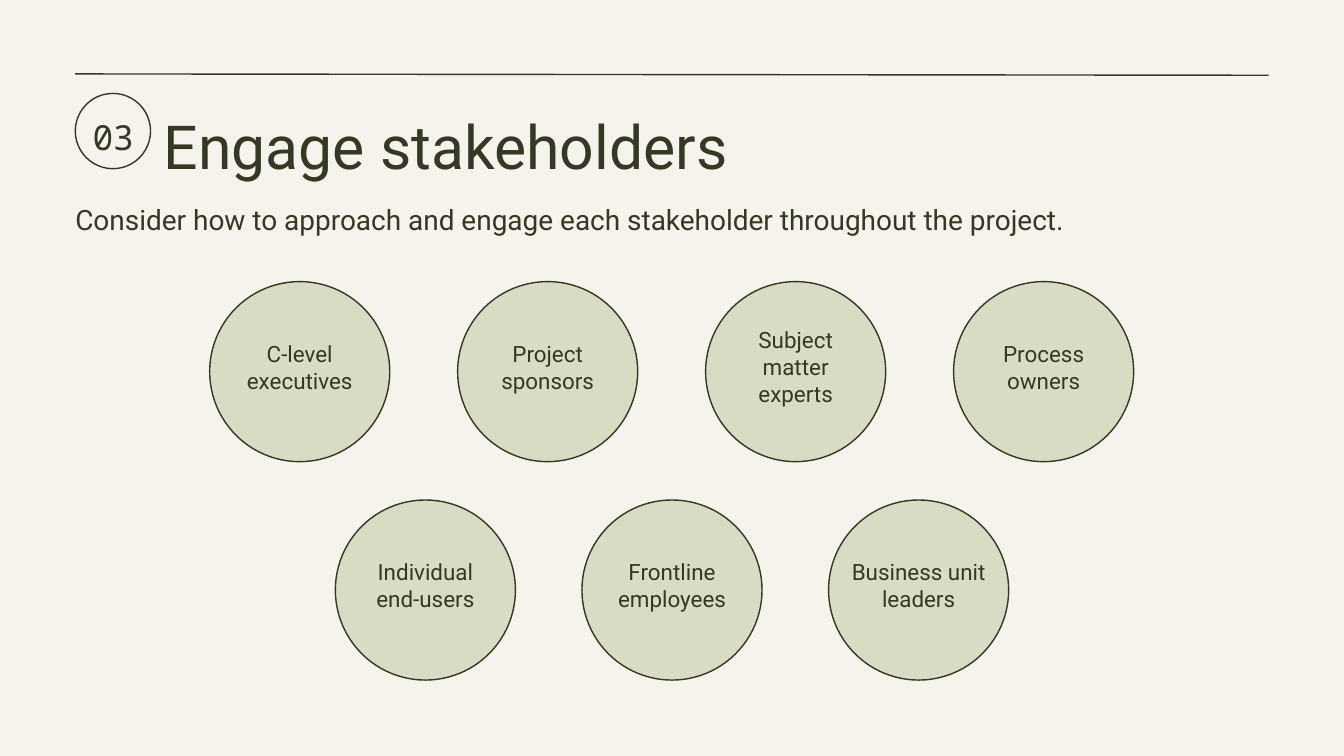
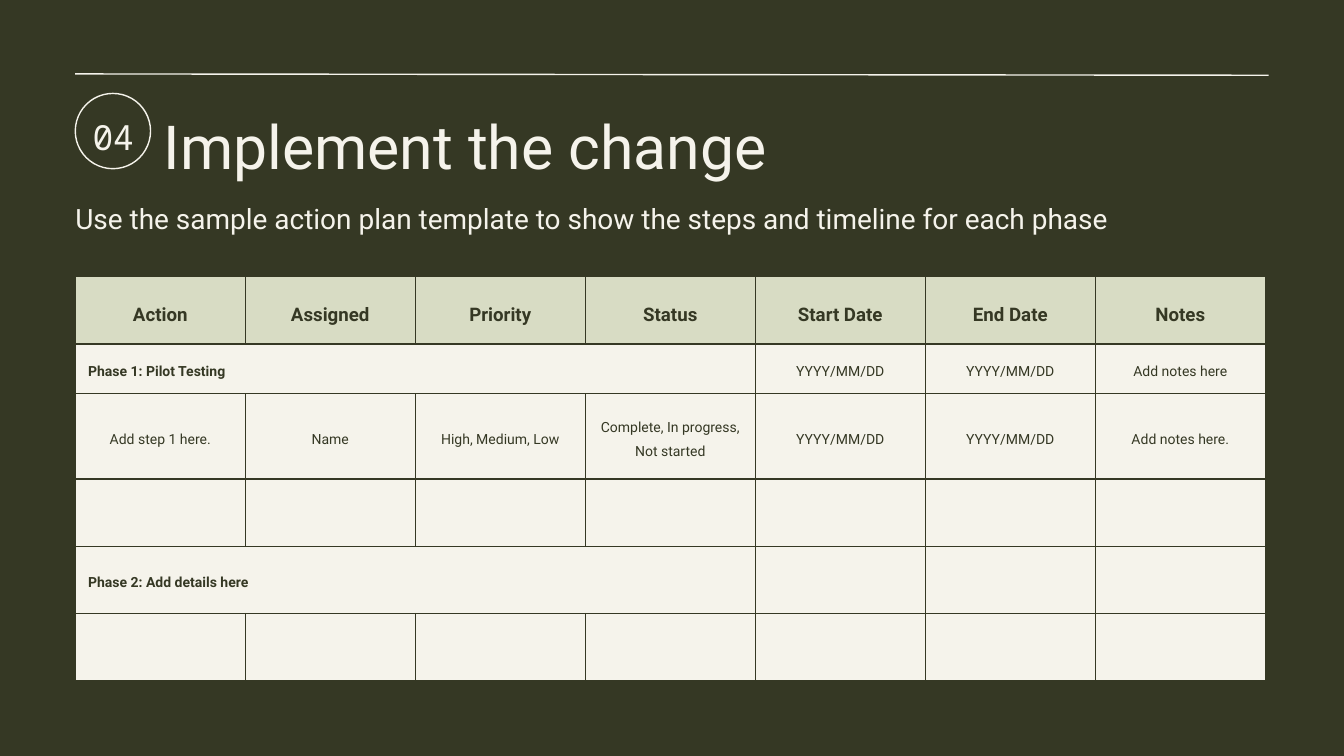
"""Build two change management slides: stakeholders and action plan."""
import pptx
import pptx.util
import pptx.dml.color
import pptx.enum.shapes
import pptx.enum.text
import pptx.oxml.ns
import lxml.etree

PX = 9144
HUES = {"dark": "353824", "light": "F5F3EB", "sage": "D8DCC4"}
RGB = pptx.dml.color.RGBColor.from_string
ALIGN = pptx.enum.text.PP_ALIGN
MID = pptx.enum.text.MSO_ANCHOR.MIDDLE
OVAL = pptx.enum.shapes.MSO_SHAPE.OVAL
STRAIGHT = pptx.enum.shapes.MSO_CONNECTOR.STRAIGHT
qn = pptx.oxml.ns.qn


def write(frame, words, size, hue, gap=1.0, font="Roboto", bold=False,
          center=False, pad=0):
    """Put one styled run in a text frame."""
    frame.word_wrap = True
    frame.margin_left = frame.margin_right = pad * PX
    frame.margin_top = frame.margin_bottom = pad * PX
    para = frame.paragraphs[0]
    para.line_spacing = gap
    para.alignment = ALIGN.CENTER if center else ALIGN.LEFT
    run = para.add_run()
    run.text = words
    run.font.size = pptx.util.Pt(size)
    run.font.name = font
    run.font.bold = bold
    run.font.color.rgb = RGB(HUES[hue])


def disc(slide, box, hue, fill=None):
    """Add a group holding one outlined circle."""
    group = slide.shapes.add_group_shape()
    ring = group.shapes.add_shape(OVAL, *[n * PX for n in box])
    ring.shadow.inherit = False
    ring.line.color.rgb = RGB(HUES[hue])
    ring.line.width = pptx.util.Pt(1.5)
    if fill:
        ring.fill.solid()
        ring.fill.fore_color.rgb = RGB(HUES[fill])
    else:
        ring.fill.background()
    return group


deck = pptx.Presentation()
deck.slide_width = 2000 * PX
deck.slide_height = 1125 * PX

heads = [
    ("03", "Engage stakeholders", 282, "light", "dark",
     "Consider how to approach and engage each stakeholder throughout the project."),
    ("04", "Implement the change", 280, "dark", "light",
     "Use the sample action plan template to show the steps and timeline for each phase"),
]
slides = []
for mark, title, top, back, ink, lead in heads:
    slide = deck.slides.add_slide(deck.slide_layouts[6])
    slides.append(slide)
    slide.background.fill.solid()
    slide.background.fill.fore_color.rgb = RGB(HUES[back])
    rule = slide.shapes.add_connector(STRAIGHT, 112 * PX, 110 * PX, 1888 * PX, 112 * PX)
    rule.line.color.rgb = RGB(HUES[ink])
    rule.line.width = pptx.util.Pt(1.5)
    lxml.etree.SubElement(rule._element.spPr, qn("a:effectLst"))
    badge = disc(slide, (112, 139, 112, 112), ink)
    label = badge.shapes.add_textbox(123 * PX, 141 * PX, 91 * PX, 99 * PX)
    label.text_frame.vertical_anchor = MID
    write(label.text_frame, mark, 37, ink, 1.4, "Noto Sans Mono", center=True)
    name = slide.shapes.add_textbox(244 * PX, 141 * PX, 1643 * PX, 109 * PX)
    write(name.text_frame, title, 65, ink, 1.2)
    intro = slide.shapes.add_textbox(112 * PX, top * PX, 1775 * PX, 56 * PX)
    write(intro.text_frame, lead, 30, ink, 1.4)

people, plan = slides

SIZE = 268
rows = [
    (419, 369, ["C-level executives", "Project sponsors",
                "Subject matter experts", "Process owners"]),
    (744, 367, ["Individual end-users", "Frontline employees",
                "Business unit leaders"]),
]
for top, pitch, roles in rows:
    start = (2000 - SIZE - pitch * (len(roles) - 1)) // 2
    for i, role in enumerate(roles):
        left = start + i * pitch
        group = disc(people, (left, top, SIZE, SIZE), "dark", "sage")
        label = group.shapes.add_textbox((left + 25) * PX, (top + 10) * PX,
                                         218 * PX, 234 * PX)
        label.text_frame.vertical_anchor = MID
        write(label.text_frame, role, 24, "dark", center=True, pad=6)

DATE = "YYYY/MM/DD"
cells = [
    ["Action", "Assigned", "Priority", "Status", "Start Date", "End Date", "Notes"],
    ["Phase 1: Pilot Testing", "", "", "", DATE, DATE, "Add notes here"],
    ["Add step 1 here.", "Name", "High, Medium, Low",
     "Complete, In progress, Not started", DATE, DATE, "Add notes here."],
    [""] * 7,
    ["Phase 2: Add details here"] + [""] * 6,
    [""] * 7,
]
highs = [100, 74, 127, 100, 100, 100]
phases = (1, 4)
grid = plan.shapes.add_table(6, 7, 112 * PX, 412 * PX, 1771 * PX, sum(highs) * PX).table
grid.first_row = grid.horz_banding = False
for col in grid.columns:
    col.width = 253 * PX
for r, line in enumerate(cells):
    grid.rows[r].height = highs[r] * PX
    for c, words in enumerate(line):
        cell = grid.cell(r, c)
        props = cell._tc.get_or_add_tcPr()
        for side in ("lnL", "lnR", "lnT", "lnB"):
            edge = lxml.etree.SubElement(props, qn("a:" + side), w="19050")
            paint = lxml.etree.SubElement(edge, qn("a:solidFill"))
            lxml.etree.SubElement(paint, qn("a:srgbClr"), val=HUES["dark"])
        cell.fill.solid()
        cell.fill.fore_color.rgb = RGB(HUES["light" if r else "sage"])
        cell.vertical_anchor = MID
        cell.margin_left = cell.margin_right = 19 * PX
        cell.margin_top = cell.margin_bottom = 19 * PX
        if words:
            phase = r in phases and c == 0
            para = cell.text_frame.paragraphs[0]
            para.line_spacing = 1.4
            para.alignment = ALIGN.LEFT if phase else ALIGN.CENTER
            run = para.add_run()
            run.text = words
            run.font.size = pptx.util.Pt(15 if r else 20)
            run.font.name = "Roboto"
            run.font.bold = phase or r == 0
            run.font.color.rgb = RGB(HUES["dark"])
for r in phases:
    grid.cell(r, 0).merge(grid.cell(r, 3))

deck.save("out.pptx")
